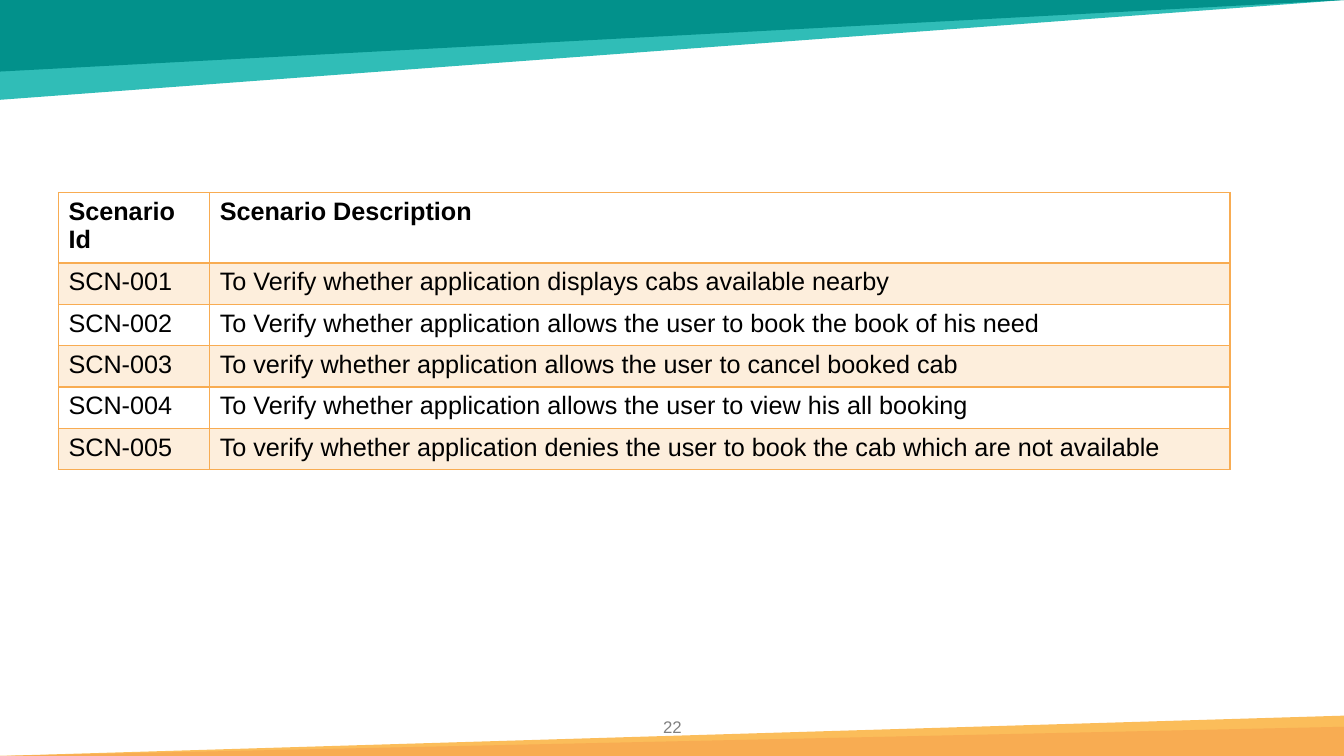
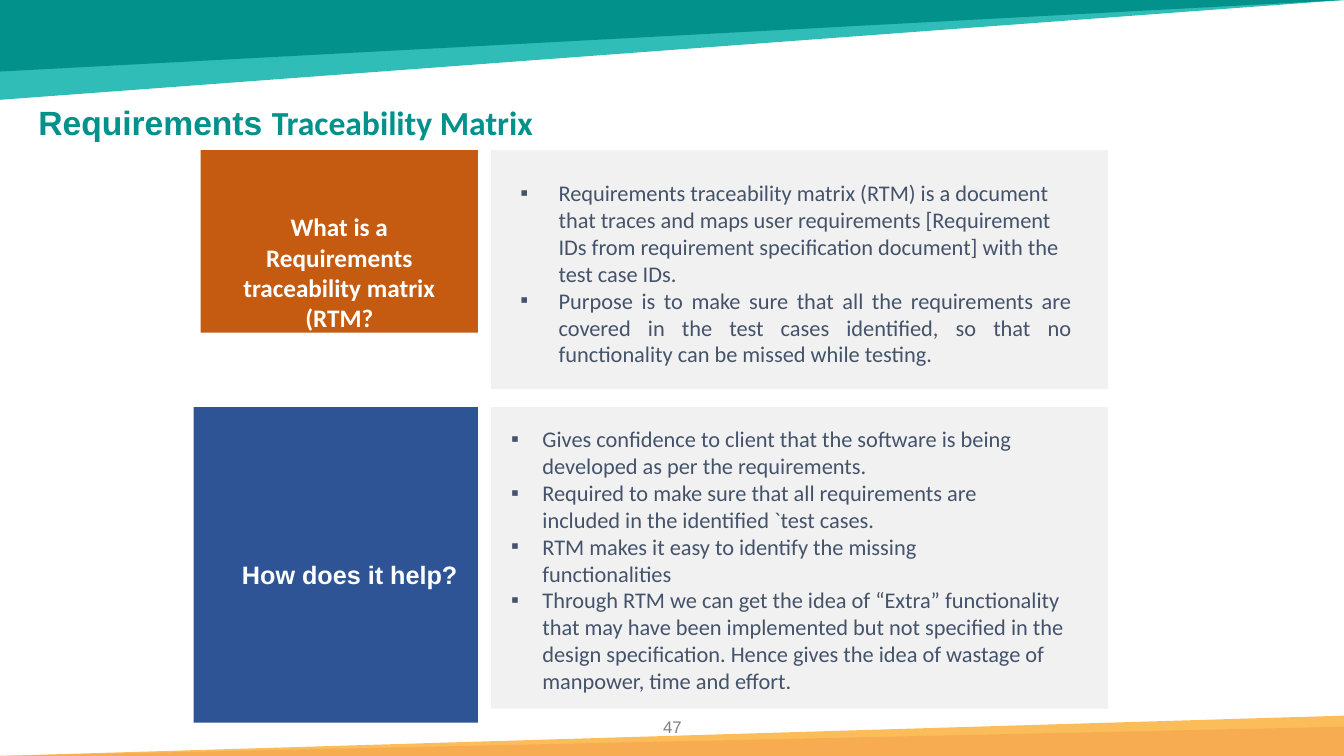
import pptx
import pptx.util
import pptx.dml.color
import pptx.enum.shapes
import pptx.enum.text
import lxml.etree
from pptx.oxml.ns import qn

Inches = pptx.util.Inches
Pt = pptx.util.Pt
PP_ALIGN = pptx.enum.text.PP_ALIGN
ANCHOR = pptx.enum.text.MSO_ANCHOR
SHAPES = pptx.enum.shapes.MSO_SHAPE

WIDTH, HEIGHT = 13.33, 7.5
TEAL, ORANGE = "02918B", "F8AC52"
WHITE, BLACK, GREY = "FFFFFF", "000000", "808080"
PANEL, SLATE = "F1F1F1", "44536A"

TOP_BANDS = [(0.99, "30BDB7"), (0.71, TEAL)]
BOTTOM_BANDS = [(0.4, "FBBD5A"), (0.29, ORANGE)]

SCENARIOS = [
    ("Scenario Id", "Scenario Description"),
    ("SCN-001", "To Verify whether application displays cabs available nearby"),
    ("SCN-002", "To Verify whether application allows the user to book the book of his need"),
    ("SCN-003", "To verify whether application allows the user to cancel booked cab"),
    ("SCN-004", "To Verify whether application allows the user to view his all booking"),
    ("SCN-005", "To verify whether application denies the user to book the cab which are not available"),
]
SCENARIO_COLUMNS = (1.5, 10.12)
HEADER_HEIGHT, SCENARIO_HEIGHT = 0.7, 0.41

TITLE = [("Requirements ", "Arial"), ("Traceability Matrix", "Calibri")]

TOPICS = [
    {
        "question": "What is a Requirements traceability matrix (RTM?",
        "label": (1.99, 1.49, 2.75, 1.81), "colour": "C55A11", "font": "Calibri",
        "align": PP_ALIGN.CENTER, "anchor": ANCHOR.BOTTOM, "margins": (0.4, 0, 0.4, 0),
        "panel": (4.87, 1.49, 6.12, 2.37),
        "answers": (5.15, 1.78, 5.48, 1.88), "indent": 0.39, "hanging": 0.38,
        "points": [
            ("Requirements traceability matrix (RTM) is a document that traces and maps user "
             "requirements [Requirement IDs from requirement specification document] with the "
             "test case IDs.", PP_ALIGN.LEFT, 0),
            ("Purpose is to make sure that all the requirements are covered in the test cases "
             "identified, so that no functionality can be missed while testing.",
             PP_ALIGN.JUSTIFY, 0),
        ],
    },
    {
        "question": "How does it help?",
        "label": (1.92, 4.04, 2.82, 3.13), "colour": "2E5496", "font": "Arial",
        "align": PP_ALIGN.LEFT, "anchor": ANCHOR.MIDDLE, "margins": (0.48, 0.19, 0, 0),
        "panel": (4.87, 4.04, 6.12, 2.99),
        "answers": (5.05, 4.22, 5.68, 2.69), "indent": 0.33, "hanging": 0.31,
        "points": [
            ("Gives confidence to client that the software is being developed as per the "
             "requirements.", PP_ALIGN.LEFT, 0),
            ("Required to make sure that all requirements are included in the identified "
             "`test cases.", PP_ALIGN.LEFT, 0.7),
            ("RTM makes it easy to identify the missing functionalities", PP_ALIGN.LEFT, 0.7),
            ("Through RTM we can get the idea of “Extra” functionality that may have been "
             "implemented but not specified in the design specification. Hence gives the idea "
             "of wastage of manpower, time and effort.", PP_ALIGN.LEFT, 0),
        ],
    },
]


def colour(hex_code):
    return pptx.dml.color.RGBColor.from_string(hex_code)


def box(at):
    return [Inches(length) for length in at]


def style(font, name, size, hex_code, bold=False):
    font.name = name
    font.size = Pt(size)
    font.bold = bold
    font.color.rgb = colour(hex_code)


def set_frame(frame, margins=(0, 0, 0, 0), anchor=ANCHOR.TOP):
    frame.word_wrap = True
    frame.auto_size = pptx.enum.text.MSO_AUTO_SIZE.NONE
    frame.vertical_anchor = anchor
    (frame.margin_left, frame.margin_top,
     frame.margin_right, frame.margin_bottom) = box(margins)


def add_filled(slide, preset, at, hex_code):
    shape = slide.shapes.add_shape(preset, *box(at))
    shape.shadow.inherit = False
    shape.fill.solid()
    shape.fill.fore_color.rgb = colour(hex_code)
    shape.line.fill.background()
    return shape


def add_band(slide, top, height, hex_code, rotation):
    band = add_filled(slide, SHAPES.RIGHT_TRIANGLE, (0, top, WIDTH, height), hex_code)
    band.rotation = rotation
    band.element.spPr.find(qn("a:xfrm")).set("flipH", "1")


def add_decor(slide, number):
    for height, hex_code in TOP_BANDS:
        add_band(slide, 0, height, hex_code, 180)
    for height, hex_code in BOTTOM_BANDS:
        add_band(slide, HEIGHT - height, height, hex_code, 0)
    frame = slide.shapes.add_textbox(*box((6.34, 7.06, 0.66, 0.3))).text_frame
    set_frame(frame, (0.1, 0.05, 0.1, 0.05))
    page = frame.paragraphs[0]
    page.text = number
    page.alignment = PP_ALIGN.CENTER
    style(page.font, "Arial", 12, GREY)


def add_borders(cell, bottom_width):
    properties = cell._tc.get_or_add_tcPr()
    for side, width in (("L", 1), ("R", 1), ("T", 1), ("B", bottom_width)):
        line = lxml.etree.SubElement(properties, qn("a:ln" + side), w=str(Pt(width)))
        fill = lxml.etree.SubElement(line, qn("a:solidFill"))
        lxml.etree.SubElement(fill, qn("a:srgbClr"), val=ORANGE)


def fill_scenario_cell(cell, text, row):
    is_header = row == 0
    cell.text = text
    style(cell.text_frame.paragraphs[0].font, "Arial", 18, BLACK, is_header)
    add_borders(cell, 2 if is_header else 1)
    if row % 2:
        cell.fill.solid()
        cell.fill.fore_color.rgb = colour(ORANGE)
        tint = cell._tc.tcPr.find(qn("a:solidFill"))[0]
        lxml.etree.SubElement(tint, qn("a:alpha"), val="20000")
    else:
        cell.fill.background()


def add_scenarios(slide):
    heights = [HEADER_HEIGHT] + [SCENARIO_HEIGHT] * (len(SCENARIOS) - 1)
    at = (0.58, 1.91, sum(SCENARIO_COLUMNS), sum(heights))
    scenarios = slide.shapes.add_table(len(SCENARIOS), len(SCENARIO_COLUMNS), *box(at)).table
    for column, width in zip(scenarios.columns, SCENARIO_COLUMNS):
        column.width = Inches(width)
    for row, (texts, height) in enumerate(zip(SCENARIOS, heights)):
        scenarios.rows[row].height = Inches(height)
        for column, text in enumerate(texts):
            fill_scenario_cell(scenarios.cell(row, column), text, row)


def add_title(slide):
    title = slide.shapes.title
    title.left, title.top, title.width, title.height = box((0.38, 1.01, 8.79, 0.4))
    set_frame(title.text_frame)
    heading = title.text_frame.paragraphs[0]
    heading.alignment = PP_ALIGN.LEFT
    for text, font_name in TITLE:
        run = heading.add_run()
        run.text = text
        style(run.font, font_name, 24, TEAL, True)


def add_bullet(paragraph, indent, hanging, right):
    properties = paragraph._p.get_or_add_pPr()
    properties.set("marL", str(Inches(indent)))
    properties.set("marR", str(Inches(right)))
    properties.set("indent", str(-Inches(hanging)))
    lxml.etree.SubElement(properties, qn("a:buFont"), typeface="Arial")
    lxml.etree.SubElement(properties, qn("a:buChar"), char="▪")


def add_topic(slide, topic):
    label = add_filled(slide, SHAPES.RECTANGLE, topic["label"], topic["colour"])
    set_frame(label.text_frame, topic["margins"], topic["anchor"])
    question = label.text_frame.paragraphs[0]
    question.text = topic["question"]
    question.alignment = topic["align"]
    style(question.font, topic["font"], 18, WHITE, True)

    add_filled(slide, SHAPES.RECTANGLE, topic["panel"], PANEL)
    answers = slide.shapes.add_textbox(*box(topic["answers"])).text_frame
    set_frame(answers)
    for index, (text, alignment, right) in enumerate(topic["points"]):
        point = answers.add_paragraph() if index else answers.paragraphs[0]
        point.text = text
        point.alignment = alignment
        add_bullet(point, topic["indent"], topic["hanging"], right)
        style(point.font, "Calibri", 16, SLATE)


def main():
    deck = pptx.Presentation()
    deck.slide_width, deck.slide_height = Inches(WIDTH), Inches(HEIGHT)
    title_only, blank = deck.slide_layouts[5], deck.slide_layouts[6]

    scenario_slide = deck.slides.add_slide(blank)
    add_decor(scenario_slide, "22")
    add_scenarios(scenario_slide)

    matrix_slide = deck.slides.add_slide(title_only)
    add_decor(matrix_slide, "47")
    add_title(matrix_slide)
    for topic in TOPICS:
        add_topic(matrix_slide, topic)

    deck.save("out.pptx")


if __name__ == "__main__":
    main()
